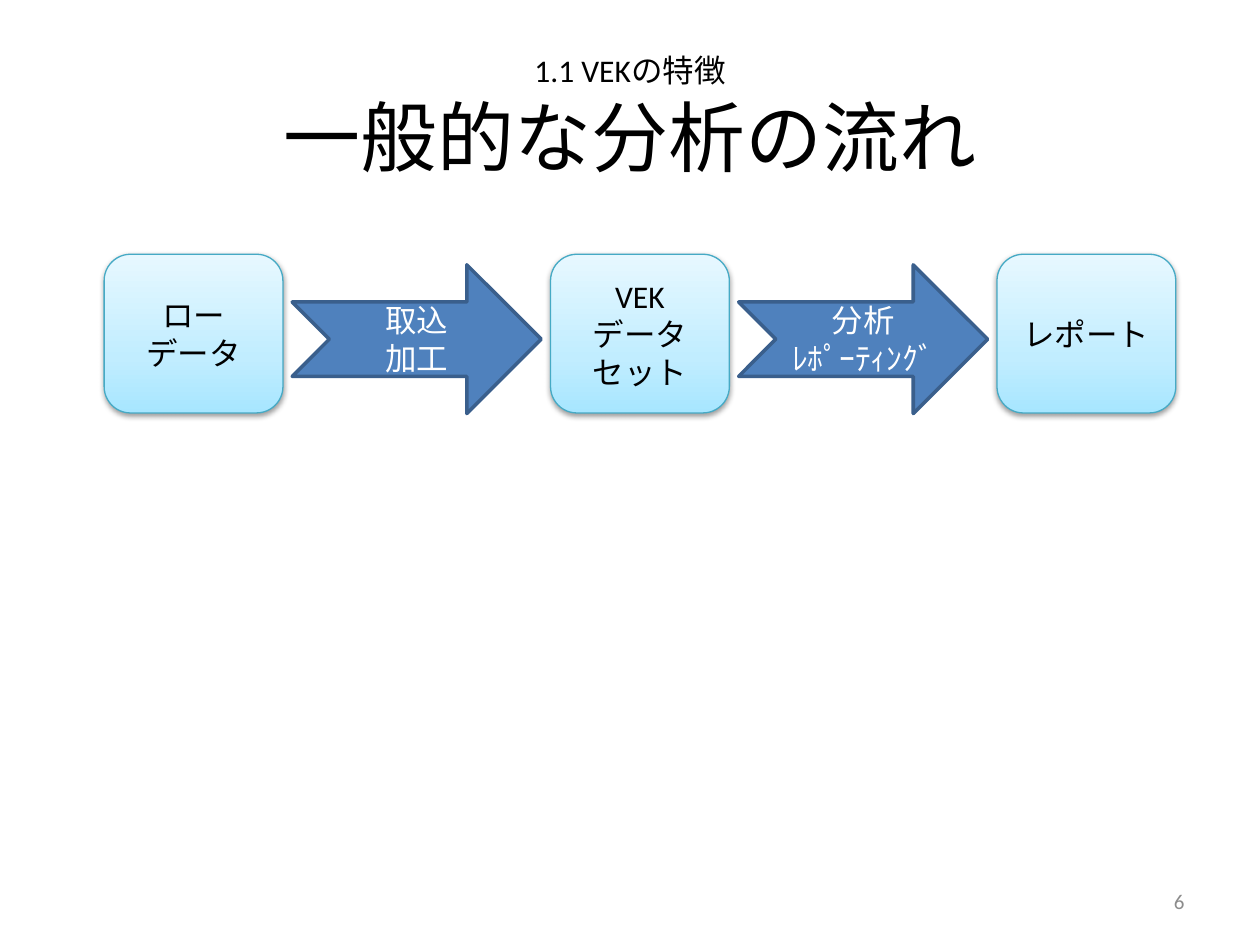
from copy import deepcopy
from dataclasses import dataclass

from lxml.etree import SubElement
from pptx import Presentation
from pptx.dml.color import RGBColor
from pptx.enum.shapes import MSO_SHAPE
from pptx.enum.text import MSO_ANCHOR, PP_ALIGN
from pptx.oxml.ns import qn
from pptx.util import Pt


@dataclass(frozen=True)
class Theme:
    font: str = "Calibri"
    title: int = 44
    body: int = 18
    small: int = 12
    ink: str = "000000"
    paper: str = "FFFFFF"
    gray: str = "8C8C8C"
    arrow: str = "4F81BD"
    edge: str = "3A5F8C"
    rim: str = "46AAC5"
    glow: tuple = ((0, "A7E6FF"), (0.35, "C1EDFF"), (1, "E7F8FF"))


THEME = Theme()


def color(code):
    return RGBColor.from_string(code)


def add_run(para, text, size, code):
    run = para.add_run()
    run.text = text
    run.font.name = THEME.font
    run.font.size = Pt(size)
    run.font.color.rgb = color(code)


def add_lines(shape, lines, size, code, align=PP_ALIGN.CENTER):
    frame = shape.text_frame
    frame.word_wrap = True
    frame.vertical_anchor = MSO_ANCHOR.MIDDLE
    for i, line in enumerate(lines):
        para = frame.add_paragraph() if i else frame.paragraphs[0]
        para.alignment = align
        add_run(para, line, size, code)


def add_form(slide, kind, box, edge, width):
    shape = slide.shapes.add_shape(kind, *map(Pt, box))
    shape.shadow.inherit = False
    shape.line.color.rgb = color(edge)
    shape.line.width = Pt(width)
    return shape


def add_glow(shape):
    """Three-stop gradient, rising from the bottom edge."""
    fill = shape.fill
    fill.gradient()
    fill.gradient_angle = 90
    stops = shape._element.spPr.find(qn("a:gradFill")).find(qn("a:gsLst"))
    stops.append(deepcopy(stops[0]))
    for stop, (place, code) in zip(fill.gradient_stops, THEME.glow):
        stop.position = place
        stop.color.rgb = color(code)


def add_shade(shape):
    """Soft shadow straight below the shape."""
    effects = shape._element.spPr.find(qn("a:effectLst"))
    shade = SubElement(effects, qn("a:outerShdw"), blurRad=str(Pt(3.1)),
                       dist=str(Pt(1.6)), dir="5400000", rotWithShape="0")
    tint = SubElement(shade, qn("a:srgbClr"), val=THEME.ink)
    SubElement(tint, qn("a:alpha"), val="38000")


def add_title(slide, box, lead, head):
    title = slide.shapes.title
    title.left, title.top, title.width, title.height = map(Pt, box)
    title.text_frame.vertical_anchor = MSO_ANCHOR.MIDDLE
    para = title.text_frame.paragraphs[0]
    para.alignment = PP_ALIGN.CENTER
    add_run(para, lead, THEME.body, THEME.ink)
    para.add_line_break()
    add_run(para, head, THEME.title, THEME.ink)


def add_flow(slide, box, states, steps):
    """States in equal columns, with a step arrow in each gap."""
    left, top, width, height = box
    wide = 102.2
    pitch = (width - wide) / (len(states) - 1)
    # Data states
    for i, lines in enumerate(states):
        place = (left + i * pitch, top, wide, height)
        card = add_form(slide, MSO_SHAPE.ROUNDED_RECTANGLE, place,
                        THEME.rim, 0.75)
        add_glow(card)
        add_shade(card)
        add_lines(card, lines, THEME.body, THEME.ink)
    # Steps between them
    gap = 5.3
    for i, lines in enumerate(steps):
        place = (left + i * pitch + wide + gap, top + 6,
                 pitch - wide - 2 * gap, 85)
        arrow = add_form(slide, MSO_SHAPE.NOTCHED_RIGHT_ARROW, place,
                         THEME.edge, 2)
        arrow.fill.solid()
        arrow.fill.fore_color.rgb = color(THEME.arrow)
        add_lines(arrow, lines, THEME.body, THEME.paper)


def add_number(slide, box, text):
    label = slide.shapes.add_textbox(*map(Pt, box))
    add_lines(label, [text], THEME.small, THEME.gray, PP_ALIGN.RIGHT)


def main():
    deck = Presentation()
    deck.slide_width, deck.slide_height = Pt(720), Pt(540)
    slide = deck.slides.add_slide(deck.slide_layouts[5])
    slide.background.fill.solid()
    slide.background.fill.fore_color.rgb = color(THEME.paper)
    add_title(slide, (36, 21.6, 648, 90), "1.1 VEKの特徴", "一般的な分析の流れ")
    add_flow(slide, (59.5, 145.3, 612.4, 90.7),
             [["ロー", "データ"], ["VEK", "データセット"], ["レポート"]],
             [["取込", "加工"], ["分析", "ﾚﾎﾟｰﾃｨﾝｸﾞ"]])
    add_number(slide, (516, 500.5, 168, 28.8), "6")
    deck.save("out.pptx")


if __name__ == "__main__":
    main()
